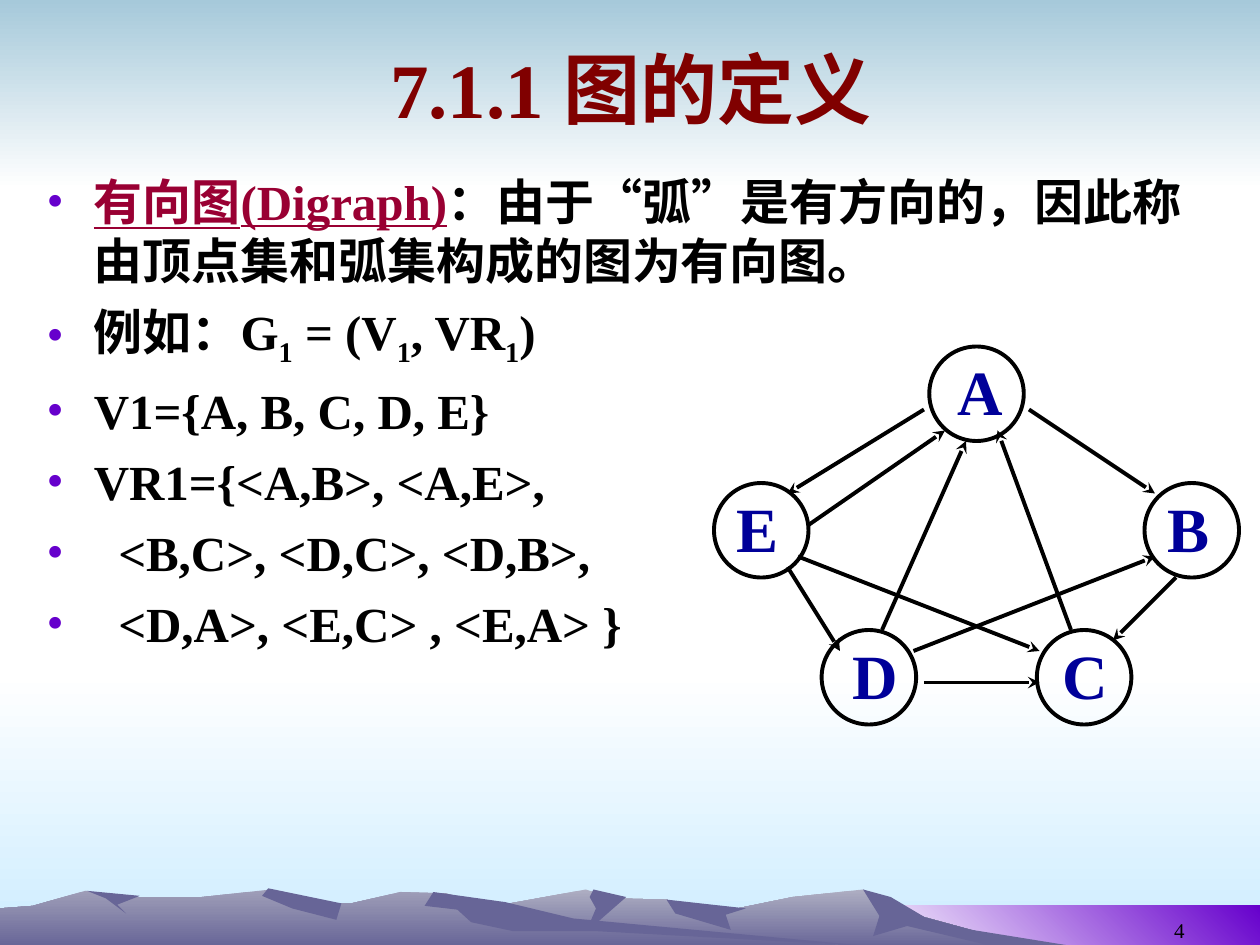
from lxml.etree import SubElement
from pptx import Presentation
from pptx.dml.color import RGBColor
from pptx.enum.shapes import MSO_CONNECTOR, MSO_SHAPE
from pptx.enum.text import MSO_ANCHOR, PP_ALIGN
from pptx.oxml.ns import qn
from pptx.util import Pt

FACE = "Times New Roman"
SHADE = "676597"
HUNDREDTH_INCH = Pt(0.72)

RIDGES = [
    (("AEAEC2", SHADE), [
        (821, 52), (723, 25), (685, 6), (629, 12), (566, 25), (529, 14), (486, 13),
        (465, 6), (394, 19), (327, 31), (258, 52)]),
    (SHADE, [
        (858, 52), (771, 38), (734, 28), (707, 12), (685, 6), (698, 27), (693, 43),
        (720, 35), (792, 52)]),
    (SHADE, [(471, 6), (468, 12), (473, 21), (465, 40), (497, 12)]),
    (SHADE, [(529, 14), (536, 25), (580, 38), (576, 26), (592, 21)]),
    (("9F9EB8", SHADE), [
        (690, 52), (432, 32), (354, 9), (318, 8), (279, 17), (236, 17), (215, 6),
        (160, 12), (94, 12), (68, 7), (26, 19), (0, 21), (0, 52)]),
    (SHADE, [(213, 5), (208, 11), (232, 21), (267, 30), (271, 17)]),
    (SHADE, [
        (344, 8), (337, 19), (363, 22), (374, 32), (407, 39), (472, 39), (690, 51),
        (455, 29), (401, 16)]),
    (SHADE, [(69, 7), (84, 13), (100, 25), (93, 18), (111, 11)]),
]

DEFINITION = [
    (0, [("有向图(Digraph)", {"color": "990033", "underline": True}),
         ("：由于“弧”是有方向的，因此称由顶点集和弧集构成的图为有向图。", {})]),
    (0, [("例如：G", {}), ("1", {"sub": True}), (" = (V", {}), ("1", {"sub": True}),
         (", VR", {}), ("1", {"sub": True}), (")", {})]),
    (0, [("V1={A, B, C, D, E}", {})]),
    (0, [("VR1={<A,B>, <A,E>,", {})]),
    (14, [("<B,C>, <D,C>, <D,B>,", {})]),
    (14, [("<D,A>, <E,C> , <E,A> }", {})]),
]

VERTICES = [
    ("A", 123, 0, 132), ("B", 246, 78, 252), ("C", 184.5, 162, 192),
    ("D", 61.5, 162, 72), ("E", 0, 78, 6),
]

ARCS = [
    (120, 36, 42, 84), (42, 126, 72, 174), (120, 192, 186, 192), (204, 162, 162, 48),
    (180, 36, 252, 84), (264, 132, 228, 168), (96, 162, 144, 54), (114, 174, 252, 120),
    (48, 120, 186, 174), (54, 102, 132, 48),
]


def rgb(value):
    return RGBColor.from_string(value)


def paint(shape, colours, angle=270):
    shape.shadow.inherit = False
    shape.line.fill.background()
    if isinstance(colours, str):
        shape.fill.solid()
        shape.fill.fore_color.rgb = rgb(colours)
        return
    shape.fill.gradient()
    shape.fill.gradient_angle = angle
    for stop, colour in zip(shape.fill.gradient_stops, colours):
        stop.color.rgb = rgb(colour)


def style(font, size, color="000000", bold=True, underline=None):
    values = {"name": FACE, "size": Pt(size), "bold": bold, "underline": underline}
    for name, value in values.items():
        setattr(font, name, value)
    font.color.rgb = rgb(color)


def add_text(slide, left, top, width, height, wrap=True):
    box = slide.shapes.add_textbox(Pt(left), Pt(top), Pt(width), Pt(height))
    box.text_frame.word_wrap = wrap
    return box.text_frame


def add_band(slide, left, top, width, height, colours, angle=270):
    band = slide.shapes.add_shape(
        MSO_SHAPE.RECTANGLE, Pt(left), Pt(top), Pt(width), Pt(height))
    paint(band, colours, angle)


def add_mountains(slide, left, top):
    for colours, outline in RIDGES:
        builder = slide.shapes.build_freeform(*outline[0], scale=HUNDREDTH_INCH)
        builder.add_line_segments(outline[1:], close=True)
        paint(builder.convert_to_shape(Pt(left), Pt(top)), colours)


def add_title(slide, left, top, width, height):
    title = slide.shapes.title
    slide.shapes._spTree.append(title._element)
    places = {"left": left, "top": top, "width": width, "height": height}
    for name, value in places.items():
        setattr(title, name, Pt(value))
    frame = title.text_frame
    frame.text = "7.1.1 图的定义"
    frame.vertical_anchor = MSO_ANCHOR.MIDDLE
    heading = frame.paragraphs[0]
    heading.alignment = PP_ALIGN.CENTER
    style(heading.runs[0].font, 44, "800000")


def add_bullet(paragraph, indent):
    properties = paragraph._p.get_or_add_pPr()
    properties.set("marL", str(Pt(indent)))
    properties.set("indent", str(-Pt(indent)))
    colour = SubElement(properties, qn("a:buClr"))
    SubElement(colour, qn("a:srgbClr"), val="6600CC")
    SubElement(properties, qn("a:buFont"), typeface=FACE)
    SubElement(properties, qn("a:buChar"), char="•")


def add_definition(slide, left, top, width, height):
    frame = add_text(slide, left, top, width, height)
    for index, (extra, parts) in enumerate(DEFINITION):
        paragraph = frame.add_paragraph() if index else frame.paragraphs[0]
        add_bullet(paragraph, 27 + extra)
        if index:
            paragraph.space_before = Pt(7)
        for text, look in parts:
            run = paragraph.add_run()
            run.text = text
            style(run.font, 28, look.get("color", "000000"), underline=look.get("underline"))
            if look.get("sub"):
                run.font._element.set("baseline", "-25000")


def add_digraph(slide, left, top):
    for name, x, y, label_x in VERTICES:
        vertex = slide.shapes.add_shape(
            MSO_SHAPE.OVAL, Pt(left + x), Pt(top + y), Pt(54), Pt(54))
        vertex.shadow.inherit = False
        vertex.fill.background()
        vertex.line.color.rgb = rgb("000000")
        vertex.line.width = Pt(2.25)
        label = add_text(slide, left + label_x, top + y, 40, 50, wrap=False)
        label.text = name
        style(label.paragraphs[0].runs[0].font, 36, "000099")
    for x1, y1, x2, y2 in ARCS:
        arc = slide.shapes.add_connector(
            MSO_CONNECTOR.STRAIGHT,
            Pt(left + x1), Pt(top + y1), Pt(left + x2), Pt(top + y2))
        arc.line.color.rgb = rgb("000000")
        arc.line.width = Pt(2.25)
        SubElement(arc.line._get_or_add_ln(), qn("a:tailEnd"), type="stealth")
        SubElement(arc._element.spPr, qn("a:effectLst"))


def add_page_number(slide, left, top, width, height):
    frame = add_text(slide, left, top, width, height)
    frame.text = "4"
    frame.vertical_anchor = MSO_ANCHOR.BOTTOM
    number = frame.paragraphs[0]
    number.alignment = PP_ALIGN.RIGHT
    style(number.runs[0].font, 12, bold=False)


def main():
    deck = Presentation()
    deck.slide_width, deck.slide_height = Pt(720), Pt(540)
    slide = deck.slides.add_slide(deck.slide_layouts[5])
    add_band(slide, 0, 384, 720, 156, ("FFFFFF", "CCECFF"))
    add_band(slide, 0, 0, 720, 108, ("A6C9DA", "FFFFFF"))
    add_band(slide, 492, 517.5, 228, 24, ("FFFFFF", "6600CC"), 45)
    add_mountains(slide, 0, 504)
    add_page_number(slide, 516, 506, 168, 36)
    add_title(slide, 36.5, 9.5, 648, 81)
    add_definition(slide, 19.5, 94.5, 680.5, 408)
    add_digraph(slide, 408, 198)
    deck.save("out.pptx")


if __name__ == "__main__":
    main()
